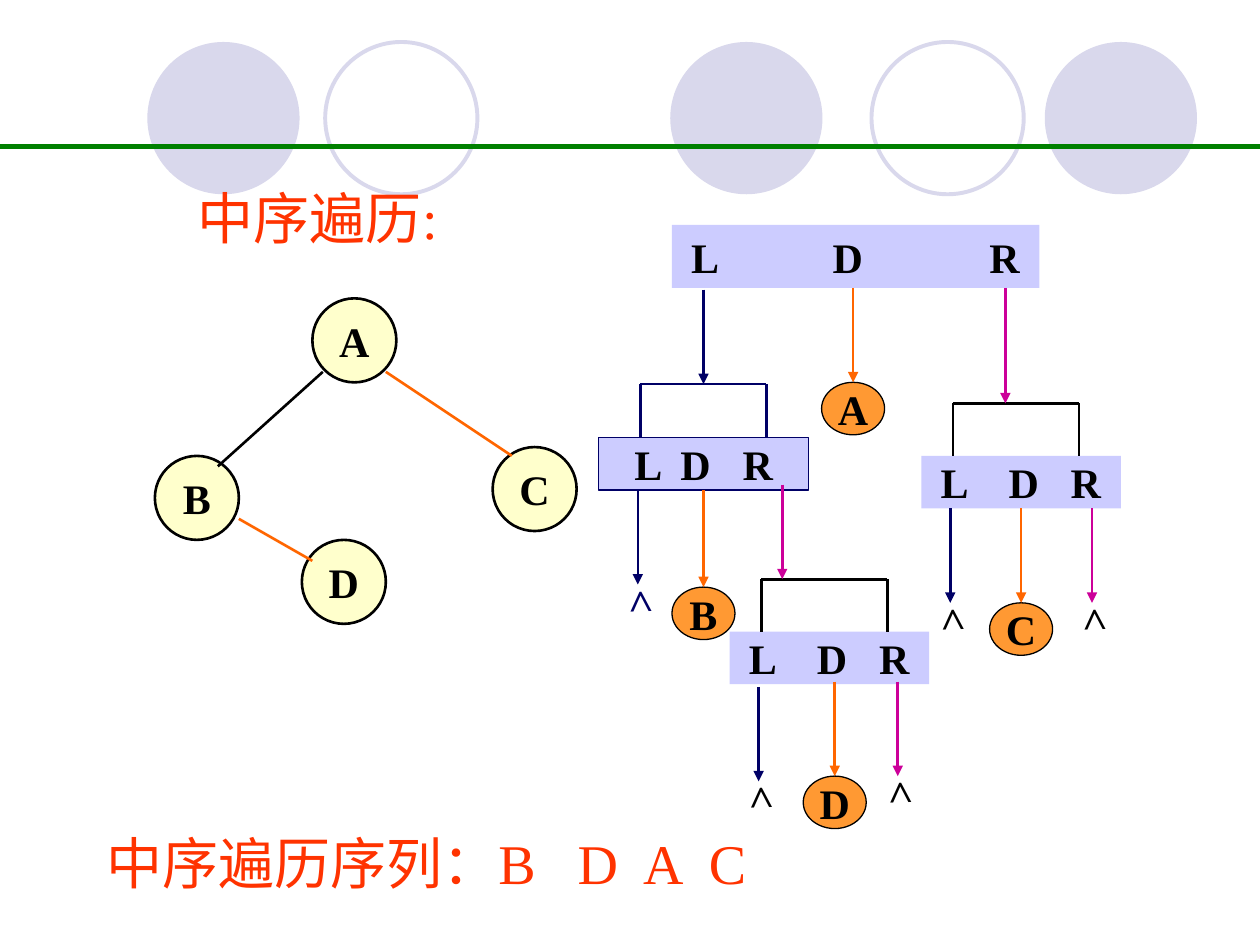
from dataclasses import dataclass

from lxml.etree import SubElement
from pptx import Presentation
from pptx.dml.color import RGBColor
from pptx.enum.shapes import MSO_CONNECTOR, MSO_SHAPE
from pptx.enum.text import MSO_ANCHOR, MSO_AUTO_SIZE, PP_ALIGN
from pptx.oxml.ns import qn
from pptx.util import Pt


@dataclass(frozen=True)
class Theme:
    font: str = "Times New Roman"
    heading_size: int = 32
    label_size: int = 24
    black: RGBColor = RGBColor.from_string("000000")
    heading: RGBColor = RGBColor.from_string("FF3300")
    lilac: RGBColor = RGBColor.from_string("D9D8EC")
    rule: RGBColor = RGBColor.from_string("008000")
    node: RGBColor = RGBColor.from_string("FFFFCC")
    step: RGBColor = RGBColor.from_string("CCCCFF")
    visit: RGBColor = RGBColor.from_string("FF9933")
    navy: RGBColor = RGBColor.from_string("000066")
    orange: RGBColor = RGBColor.from_string("FF6600")
    magenta: RGBColor = RGBColor.from_string("CC0099")


theme = Theme()
deck = Presentation()
deck.slide_width, deck.slide_height = Pt(720), Pt(540)
page = deck.slides.add_slide(deck.slide_layouts[5])
shapes = page.shapes


def write(box, text, size, color, bold=False, align=PP_ALIGN.LEFT,
          anchor=MSO_ANCHOR.TOP, stops=(), stop_align="ctr", wrap=True):
    frame = box.text_frame
    frame.auto_size = MSO_AUTO_SIZE.NONE
    frame.word_wrap = wrap
    frame.vertical_anchor = anchor
    para = frame.paragraphs[0]
    para.alignment = align
    if stops:
        tabs = SubElement(para._p.get_or_add_pPr(), qn("a:tabLst"))
        for stop in stops:
            SubElement(tabs, qn("a:tab"), pos=str(Pt(stop)), algn=stop_align)
    span = para.add_run()
    span.text = text
    span.font.name = theme.font
    span.font.size = Pt(size)
    span.font.bold = bold
    span.font.color.rgb = color


def draw_line(x1, y1, x2, y2, color, width=1.5, arrow=False):
    line = shapes.add_connector(MSO_CONNECTOR.STRAIGHT, Pt(x1), Pt(y1), Pt(x2), Pt(y2))
    line.line.color.rgb = color
    line.line.width = Pt(width)
    if arrow:
        SubElement(line.line._get_or_add_ln(), qn("a:tailEnd"), type="triangle")
    SubElement(line._element.spPr, qn("a:effectLst"))
    return line


for left, filled in ((383, True), (597, True), (84.2, True), (498, False), (185.8, False)):
    circle = shapes.add_shape(MSO_SHAPE.OVAL, Pt(left), Pt(24), Pt(87), Pt(87))
    circle.shadow.inherit = False
    if filled:
        circle.fill.solid()
        circle.fill.fore_color.rgb = theme.lilac
        circle.line.fill.background()
    else:
        circle.fill.background()
        circle.line.color.rgb = theme.lilac
        circle.line.width = Pt(2.25)
draw_line(0, 83.8, 720, 83.8, theme.rule, 2.5)

title = shapes.title
title.left, title.top, title.width, title.height = Pt(105.8), Pt(101.5), Pt(180), Pt(46)
write(title, "中序遍历:", theme.heading_size, theme.heading)
shapes.element.append(title.element)

ovals = {}
for letter, left, top, width, height, fill, outline in (
    ("A", 178.5, 170.5, 48, 48, theme.node, 1.5),
    ("D", 172.5, 308.5, 48, 48, theme.node, 1.5),
    ("B", 88.5, 260.5, 48, 48, theme.node, 1.5),
    ("C", 281.5, 255.5, 48, 48, theme.node, 1.5),
    ("A", 469.5, 218.5, 36, 30, theme.visit, 0.75),
    ("B", 384, 335.5, 36, 30, theme.visit, 0.75),
    ("D", 459, 443.5, 36, 30, theme.visit, 0.75),
    ("C", 565.5, 344.5, 36, 30, theme.visit, 0.75),
):
    oval = shapes.add_shape(MSO_SHAPE.OVAL, Pt(left), Pt(top), Pt(width), Pt(height))
    oval.shadow.inherit = False
    oval.fill.solid()
    oval.fill.fore_color.rgb = fill
    oval.line.color.rgb = theme.black
    oval.line.width = Pt(outline)
    write(oval, letter, theme.label_size, theme.black, True,
          PP_ALIGN.CENTER, MSO_ANCHOR.MIDDLE, wrap=False)
    ovals[letter] = oval

for x1, y1, x2, y2, color in (
    (184.5, 212.5, 124.5, 266.5, theme.black),
    (220.5, 212.5, 292.5, 260.5, theme.orange),
    (136.5, 296.5, 178.5, 320.5, theme.orange),
):
    draw_line(x1, y1, x2, y2, color)

steps = {}
for name, left, top, width, height, stops in (
    ("A", 384, 128.5, 210, 36, (19, 100.5, 190)),
    ("B", 342, 250, 120, 30, (28.5, 55.5, 91)),
    ("D", 417, 361, 114, 30, (19, 58.5, 94)),
    ("C", 526.5, 260.5, 114, 30, (19, 58.5, 94)),
):
    step = shapes.add_shape(MSO_SHAPE.RECTANGLE, Pt(left), Pt(top), Pt(width), Pt(height))
    step.shadow.inherit = False
    step.fill.solid()
    step.fill.fore_color.rgb = theme.step
    if name == "B":
        step.line.color.rgb = theme.navy
        step.line.width = Pt(0.75)
    else:
        step.line.fill.background()
    step.text_frame.margin_left = step.text_frame.margin_right = 0
    write(step, "\tL\tD\tR", theme.label_size, theme.black, True,
          anchor=MSO_ANCHOR.MIDDLE, stops=stops)
    steps[name] = step

for left, top, color in (
    (366, 219.5, theme.navy),
    (435, 331, theme.black),
    (544.5, 230.5, theme.black),
):
    right, bottom = left + 72, top + 30
    draw_line(left, top, right, top, color)
    for side in (left, right):
        draw_line(side, top, side, bottom, color)

for x, start, end, color in (
    (402, 165.5, 219.5, theme.navy),
    (447, 277, 331, theme.magenta),
    (574.5, 164.5, 230.5, theme.magenta),
):
    draw_line(x, start, x, end, color, arrow=True)

for letter, x, start, end in (
    ("A", 487.5, 164.5, 218.5),
    ("B", 402, 280, 335.5),
    ("D", 477, 389.5, 443.5),
    ("C", 583.5, 290.5, 344.5),
):
    visit_arrow = draw_line(x, start, x, end, theme.orange, arrow=True)
    if letter in "BC":
        visit_arrow.begin_connect(steps[letter], 2)
    visit_arrow.end_connect(ovals[letter], 0)

for x, start, color, mark_color in (
    (364.5, 280, theme.navy, theme.navy),
    (513, 389.5, theme.magenta, theme.black),
    (433.5, 392.5, theme.navy, theme.black),
    (624, 290.5, theme.magenta, theme.black),
    (543, 290.5, theme.navy, theme.black),
):
    end = start + 54
    draw_line(x, start, x, end, color, arrow=True)
    null_mark = shapes.add_textbox(Pt(x - 15), Pt(end - 9.3), Pt(30), Pt(36))
    null_mark.rotation = 268.3
    write(null_mark, ">", theme.label_size, mark_color, True)

sequence = shapes.add_textbox(Pt(53.5), Pt(470), Pt(400), Pt(46))
write(sequence, "中序遍历序列：B\tD\tA\tC", theme.heading_size, theme.heading,
      stops=[269.5 + 37.5 * index for index in range(3)], stop_align="l")

deck.save("out.pptx")
